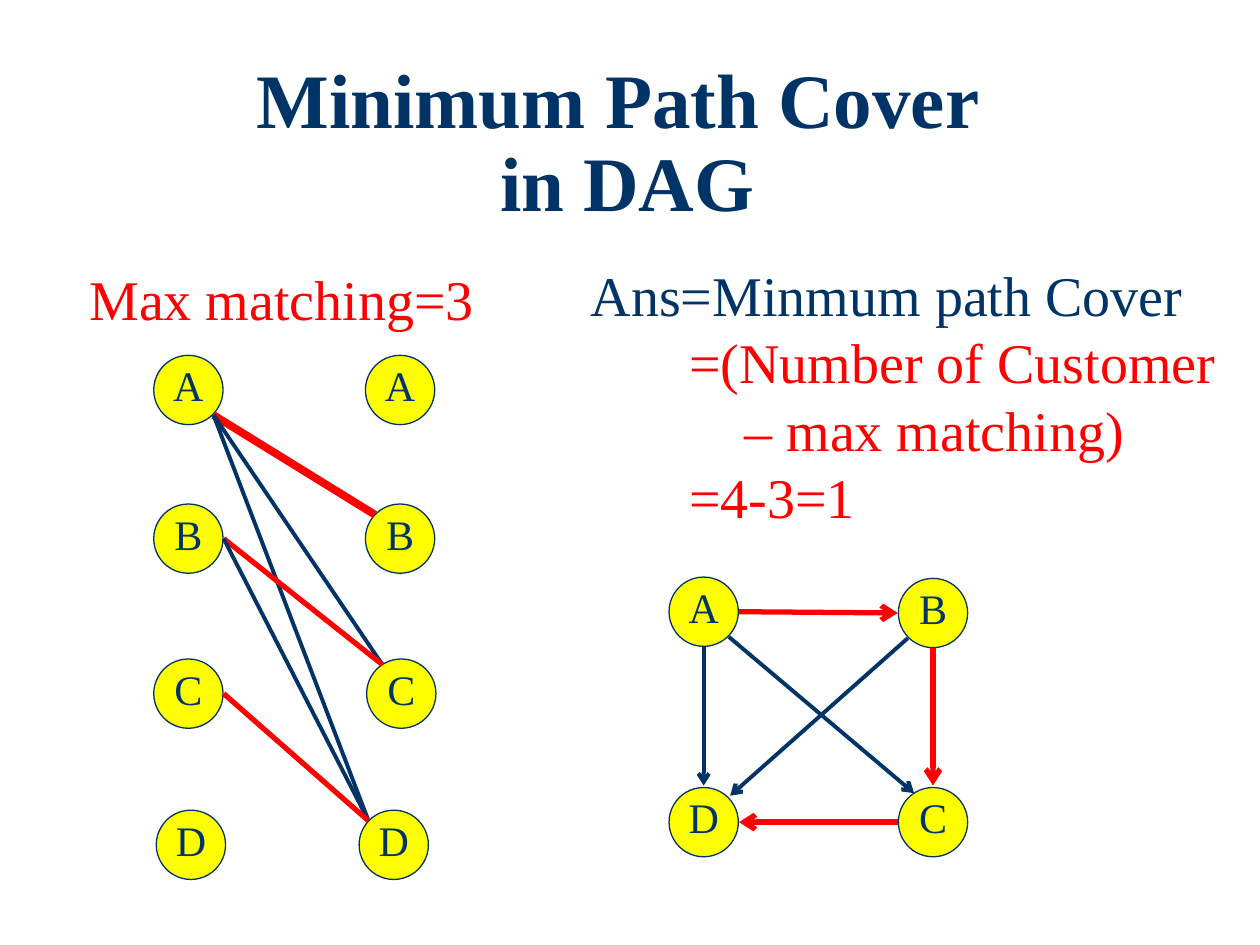
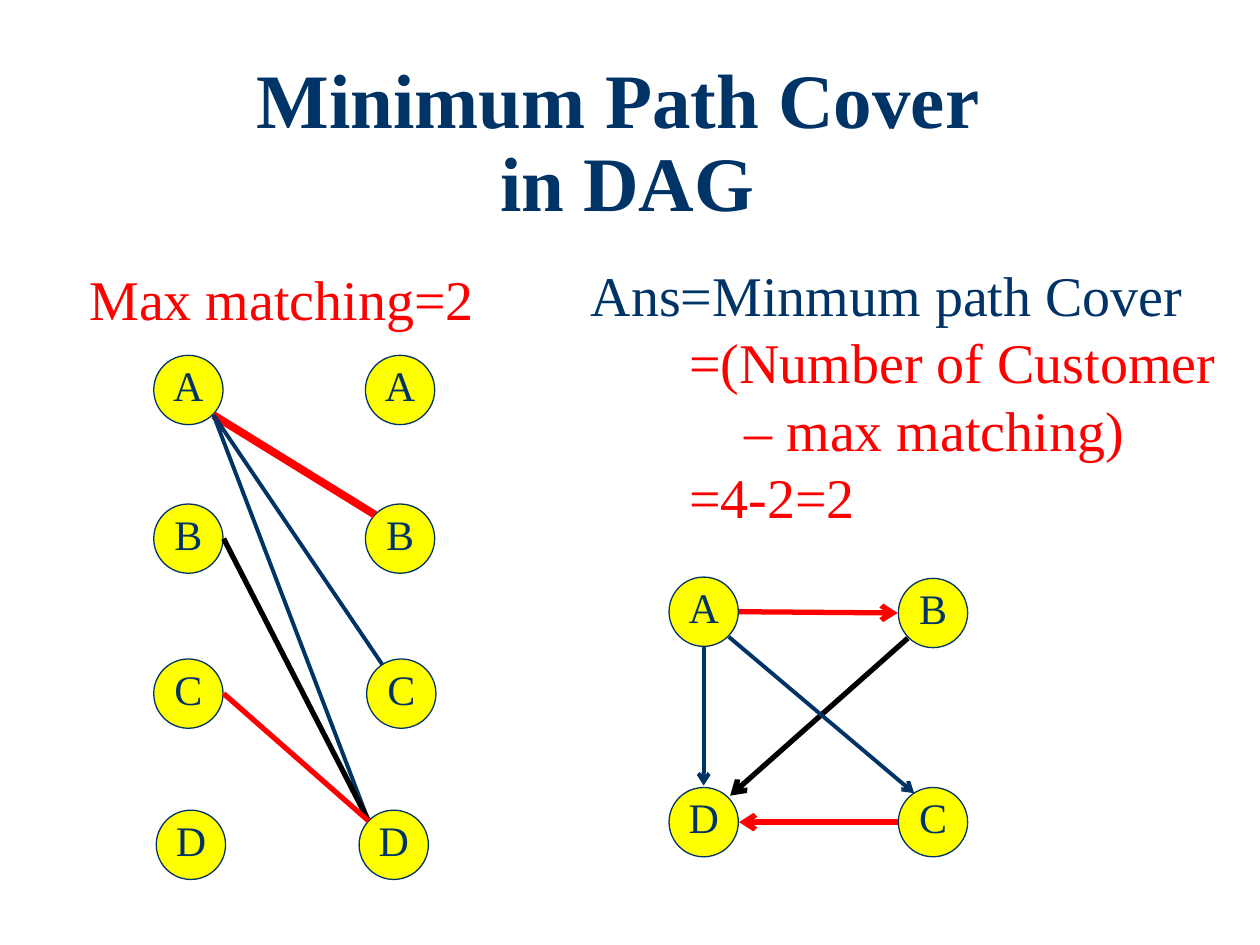
from lxml import etree
from pptx import Presentation
from pptx.dml.color import RGBColor
from pptx.enum import shapes, text
from pptx.oxml import ns
from pptx.util import Inches, Pt

# Shared style
NAVY = RGBColor(0x00, 0x33, 0x66)
RED = RGBColor(0xFF, 0x00, 0x00)
BLACK = RGBColor(0x00, 0x00, 0x00)
YELLOW = RGBColor(0xFF, 0xFF, 0x00)
FONT = "Times New Roman"
SIZE = 0.55

# Node corners
ROWS = [2.82, 4, 5.23, 6.43]
LEFT = dict(zip("ABCD", zip([1.22, 1.22, 1.22, 1.24], ROWS)))
RIGHT = dict(zip("ABCD", zip([2.9, 2.9, 2.91, 2.85], ROWS)))
GRAPH = {"A": (5.31, 4.58), "B": (7.13, 4.59),
         "C": (7.13, 6.25), "D": (5.31, 6.25)}

# Where a line meets a node, measured from its centre
PORTS = {"n": (0, -0.29), "e": (0.28, 0), "s": (0, 0.28), "w": (-0.28, 0),
         "ne": (0.21, -0.21), "se": (0.2, 0.2), "sw": (-0.2, 0.2),
         "nw": (-0.2, -0.19), "nnw": (-0.15, -0.23)}

# Lines: from, port, to, port, colour, width
MATCH = [("A", "se", "B", "nw", RED, 4.5),
         ("A", "se", "C", "nnw", NAVY, 2.25),
         ("A", "se", "D", "nw", NAVY, 2.25),
         ("B", "e", "C", "nnw", RED, 3),
         ("B", "e", "D", "nw", NAVY, 2.25),
         ("C", "e", "D", "nw", RED, 3)]
ROUTES = [("A", "e", "B", "w", RED, 3),
          ("B", "s", "C", "n", RED, 3),
          ("C", "w", "D", "e", RED, 3),
          ("A", "s", "D", "n", NAVY, 2.25),
          ("B", "sw", "D", "ne", NAVY, 2.25),
          ("A", "se", "C", "nnw", NAVY, 2.25)]


def add_run(para, words, size, color, bold=False):
    run = para.add_run()
    run.text = words
    run.font.name = FONT
    run.font.size = Pt(size)
    run.font.bold = bold
    run.font.color.rgb = color


def add_box(slide, left, top, width, height):
    box = slide.shapes.add_textbox(*map(Inches, (left, top, width, height)))
    box.text_frame.word_wrap = True
    return box.text_frame


def add_title(slide):
    para = add_box(slide, 0.98, 0.44, 8, 0.92).paragraphs[0]
    para.alignment = text.PP_ALIGN.CENTER
    para.line_spacing = 0.9
    add_run(para, "Minimum Path Cover ", 44, NAVY, True)
    para.add_line_break()
    add_run(para, "in DAG", 44, NAVY, True)


def add_lines(slide, spot, lines):
    frame = add_box(slide, *spot)
    for i, (words, indent, color) in enumerate(lines):
        para = frame.add_paragraph() if i else frame.paragraphs[0]
        props = para._p.get_or_add_pPr()
        props.set("marL", str(Inches(indent)))
        props.set("indent", "0")
        add_run(para, words, 32, color)


def add_node(slide, name, left, top):
    node = slide.shapes.add_shape(shapes.MSO_SHAPE.OVAL, Inches(left),
                                  Inches(top), Inches(SIZE), Inches(SIZE))
    node.shadow.inherit = False
    node.fill.solid()
    node.fill.fore_color.rgb = YELLOW
    node.line.color.rgb = NAVY
    node.line.width = Pt(0.75)
    frame = node.text_frame
    frame.word_wrap = False
    frame.vertical_anchor = text.MSO_ANCHOR.MIDDLE
    frame.margin_left = frame.margin_right = frame.margin_top = 0
    frame.margin_bottom = Inches(0.08)
    para = frame.paragraphs[0]
    para.alignment = text.PP_ALIGN.CENTER
    add_run(para, name, 24, NAVY)


def add_nodes(slide, nodes):
    for name, (left, top) in nodes.items():
        add_node(slide, name, left, top)


def find_port(corner, port):
    return [Inches(edge + SIZE / 2 + shift)
            for edge, shift in zip(corner, PORTS[port])]


def add_edge(slide, start, end, color, width, arrow):
    edge = slide.shapes.add_connector(shapes.MSO_CONNECTOR.STRAIGHT,
                                      *start, *end)
    edge.line.color.rgb = color
    edge.line.width = Pt(width)
    if arrow:
        etree.SubElement(edge.line._get_or_add_ln(), ns.qn("a:tailEnd"),
                         type="arrow")
    etree.SubElement(edge._element.spPr, ns.qn("a:effectLst"))


def add_edges(slide, edges, tails, heads, arrow=False):
    for tail, out, head, into, color, width in edges:
        add_edge(slide, find_port(tails[tail], out),
                 find_port(heads[head], into), color, width, arrow)


def drop_link(edges):
    """Leave out B to C, and draw B to D in bold black."""
    kept = [e for e in edges if (e[0], e[2]) != ("B", "C")]
    return [(*e[:4], BLACK, 3) if (e[0], e[2]) == ("B", "D") else e
            for e in kept]


def add_case(deck, pairs, match, routes):
    slide = deck.slides.add_slide(deck.slide_layouts[6])
    add_title(slide)
    # Bipartite matching
    add_nodes(slide, LEFT)
    add_nodes(slide, RIGHT)
    add_edges(slide, match, LEFT, RIGHT)
    add_lines(slide, (0.61, 2.05, 3.29, 0.64),
              [(f"Max matching={pairs}", 0, RED)])
    # Directed graph
    add_nodes(slide, GRAPH)
    add_edges(slide, routes, GRAPH, GRAPH, arrow=True)
    # Answer
    add_lines(slide, (4.59, 2.02, 5.32, 2.26),
              [("Ans=Minmum path Cover", 0, NAVY),
               ("=(Number of Customer", 0.78, RED),
               ("– max matching)", 1.22, RED),
               (f"=4-{pairs}={4 - pairs}", 0.78, RED)])


def main():
    deck = Presentation()
    deck.slide_width, deck.slide_height = Inches(10), Inches(7.5)
    add_case(deck, 3, MATCH, ROUTES)
    add_case(deck, 2, drop_link(MATCH), drop_link(ROUTES))
    deck.save("out.pptx")


if __name__ == "__main__":
    main()
